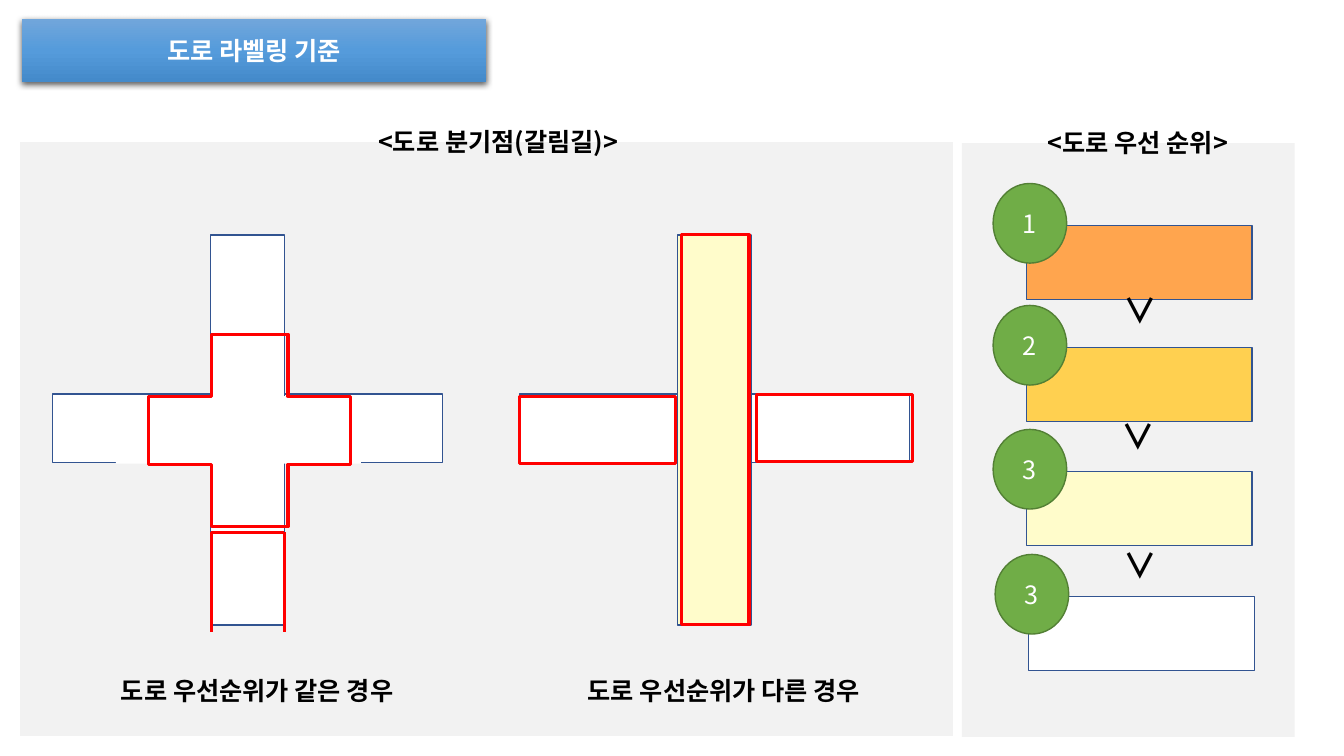
from copy import deepcopy

from lxml.etree import SubElement
from pptx import Presentation
from pptx.dml.color import RGBColor
from pptx.enum.shapes import MSO_CONNECTOR, MSO_SHAPE
from pptx.enum.text import MSO_ANCHOR, PP_ALIGN
from pptx.oxml import parse_xml
from pptx.oxml.ns import nsdecls, qn
from pptx.util import Inches, Pt

FONT = "Noto Sans CJK KR"
WHITE = RGBColor(0xFF, 0xFF, 0xFF)
BLACK = RGBColor(0, 0, 0)
PANEL = RGBColor(0xF2, 0xF2, 0xF2)
NAVY = RGBColor(0x32, 0x54, 0x91)
RED = RGBColor(0xFF, 0, 0)
ORANGE = RGBColor(0xFF, 0xA5, 0x4E)
AMBER = RGBColor(0xFF, 0xD0, 0x50)
CREAM = RGBColor(0xFF, 0xFC, 0xCB)
GREEN = RGBColor(0x70, 0xAD, 0x47)
DARK_GREEN = RGBColor(0x53, 0x80, 0x35)
TITLE_STOPS = [RGBColor(0x71, 0xA6, 0xDB), RGBColor(0x55, 0x9B, 0xDB),
               RGBColor(0x44, 0x8A, 0xCA)]


def write(sp, text, color, size=18, bold=True):
    tf = sp.text_frame
    tf.word_wrap = True
    p = tf.paragraphs[0]
    p.text = text
    p.alignment = PP_ALIGN.CENTER
    font = p.font
    font.name, font.size, font.bold = FONT, Pt(size), bold
    font.color.rgb = color
    # Hangul takes the East Asian typeface
    props = p._p.pPr.find(qn("a:defRPr"))
    SubElement(props, qn("a:ea")).set("typeface", FONT)


def add_box(shapes, box, fill=None, line=None, width=1.0, rotation=0,
            kind=MSO_SHAPE.RECTANGLE):
    sp = shapes.add_shape(kind, *map(Inches, box))
    sp.shadow.inherit = False
    sp.rotation = rotation
    if fill is None:
        sp.fill.background()
    else:
        sp.fill.solid()
        sp.fill.fore_color.rgb = fill
    if line is None:
        sp.line.fill.background()
    else:
        sp.line.color.rgb = line
        sp.line.width = Pt(width)
    return sp


def add_label(shapes, box, text, size=18):
    write(shapes.add_textbox(*map(Inches, box)), text, BLACK, size)


def add_red_line(shapes, x1, y1, x2, y2):
    line = shapes.add_connector(MSO_CONNECTOR.STRAIGHT,
                                *map(Inches, (x1, y1, x2, y2)))
    line.line.color.rgb = RED
    line.line.width = Pt(2.25)
    SubElement(line._element.spPr, qn("a:effectLst"))


def add_title(shapes):
    sp = add_box(shapes, (0.22, 0.19, 4.6, 0.62))
    sp.fill.gradient()
    sp.fill.gradient_angle = 270
    stops = sp._element.spPr.find(qn("a:gradFill")).find(qn("a:gsLst"))
    stops.insert(1, deepcopy(stops[0]))
    for i, (stop, color) in enumerate(zip(sp.fill.gradient_stops, TITLE_STOPS)):
        stop.position = i / 2
        stop.color.rgb = color
    # Soft shadow below the banner
    sp._element.spPr.find(qn("a:effectLst")).append(parse_xml(
        f'<a:outerShdw {nsdecls("a")} blurRad="{Pt(4.5)}" dist="{Pt(1.5)}" '
        'dir="5400000" algn="ctr" rotWithShape="0"><a:srgbClr val="000000">'
        '<a:alpha val="63000"/></a:srgbClr></a:outerShdw>'))
    sp.text_frame.vertical_anchor = MSO_ANCHOR.MIDDLE
    write(sp, "도로 라벨링 기준", WHITE)


def add_crossroad(shapes, x, vertical_fill, caption):
    add_box(shapes, (x, 3.91, 3.87, 0.68), WHITE, NAVY)
    add_box(shapes, (x, 3.9, 3.87, 0.73), vertical_fill, NAVY, rotation=90)
    add_label(shapes, (x + 0.19, 6.65, 3.68, 0.4), caption)


def add_rank(shapes, number, x, y, fill):
    add_box(shapes, (x + 0.33, y + 0.42, 2.24, 0.73), fill, NAVY)
    sp = add_box(shapes, (x, y, 0.73, 0.79), GREEN, DARK_GREEN,
                 kind=MSO_SHAPE.OVAL)
    sp.text_frame.vertical_anchor = MSO_ANCHOR.MIDDLE
    write(sp, number, WHITE, bold=False)


def add_priority_panel(shapes):
    add_box(shapes, (9.54, 1.42, 3.3, 5.89), PANEL)
    for rank in [("1", 9.85, 1.82, ORANGE), ("2", 9.85, 3.03, AMBER),
                 ("3", 9.85, 4.26, CREAM), ("3", 9.87, 5.5, WHITE)]:
        add_rank(shapes, *rank)
    for x, y in [(11.02, 2.83), (11.01, 4.08), (11.02, 5.36)]:
        add_label(shapes, (x, y, 0.57, 0.61), "∨", 24)
    add_label(shapes, (10.14, 1.21, 2.29, 0.4), "<도로 우선 순위>")


def main():
    prs = Presentation()
    prs.slide_width, prs.slide_height = Inches(13.33), Inches(7.5)
    shapes = prs.slides.add_slide(prs.slide_layouts[6]).shapes

    # Junction panel and title
    add_box(shapes, (0.2, 1.41, 9.25, 5.89), PANEL)
    add_title(shapes)
    add_label(shapes, (3.32, 1.2, 3.24, 0.4), "<도로 분기점(갈림길)>")

    # Equal priority: the junction is one cross-shaped label
    add_crossroad(shapes, 0.52, WHITE, "도로 우선순위가 같은 경우")
    add_box(shapes, (1.15, 3.93, 2.43, 0.67), WHITE)
    cross = add_box(shapes, (1.52, 3.27, 1.91, 2), line=RED, width=2.25,
                    rotation=90, kind=MSO_SHAPE.CROSS)
    cross.adjustments[0] = 0.324
    for x in (2.1, 2.82):
        add_red_line(shapes, x, 6.27, x, 5.28)
    add_red_line(shapes, 2.09, 5.28, 2.82, 5.28)

    # Different priority: the main road cuts the side roads
    add_crossroad(shapes, 5.15, CREAM, "도로 우선순위가 다른 경우")
    for box, rotation in [((6.76, 2.33, 0.67, 3.87), 0),
                          ((5.59, 3.49, 0.67, 1.55), 90),
                          ((7.94, 3.47, 0.67, 1.55), 90)]:
        add_box(shapes, box, line=RED, width=2.25, rotation=rotation)

    # Priority order
    add_priority_panel(shapes.add_group_shape().shapes)
    prs.save("out.pptx")


if __name__ == "__main__":
    main()
